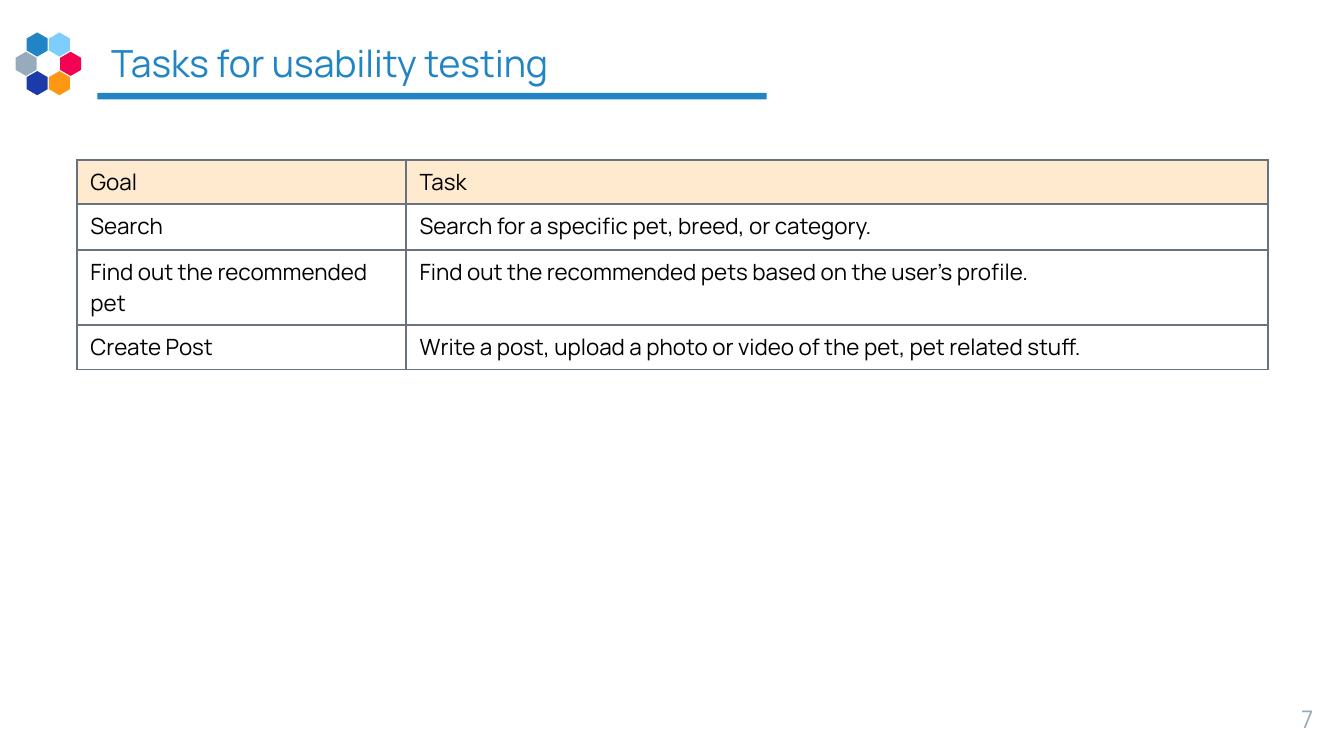
"""Build the slide that lists the tasks for usability testing."""
import math
from dataclasses import dataclass

import lxml.etree
import pptx
import pptx.dml.color
import pptx.enum.shapes
import pptx.enum.text
import pptx.oxml.ns
import pptx.slide
import pptx.table
import pptx.text.text
import pptx.util

ALIGN = pptx.enum.text.PP_ALIGN
ANCHOR = pptx.enum.text.MSO_ANCHOR
COLUMNS = 100
WIDTH = pptx.util.Inches(10)
HEIGHT = WIDTH * 9 // 16


@dataclass(frozen=True)
class Theme:
    font: str = "Manrope"
    blue: str = "2185C5"
    gray: str = "97ABBC"
    ink: str = "000000"
    edge: str = "677480"
    head: str = "FFEAD0"
    ring: tuple[str, ...] = ("F20253", "FF9715", "1C3AA9", "97ABBC", "2185C5", "7ECEFD")
    title: float = 20
    body: float = 12
    number: float = 13
    line: float = 1


@dataclass(frozen=True)
class Box:
    left: float
    top: float
    wide: float
    high: float

    def place(self) -> tuple[int, ...]:
        return tuple(map(grid, (self.left, self.top, self.wide, self.high)))


@dataclass(frozen=True)
class Task:
    goal: str
    text: str
    high: float


THEME = Theme()
TITLE = Box(7.27, 2.45, 85.5, 4.4)
RULE = Box(7.25, 6.9, 49.8, 0.5)
NUMBER = Box(92.7, 51.4, 6, 3.4)
TABLE = Box(5.73, 11.9, 88.6, 15.6)
SPLIT = (24.5, 64.1)
TASKS = (
    Task("Goal", "Task", 3.3),
    Task("Search", "Search for a specific pet, breed, or category.", 3.4),
    Task("Find out the recommended pet",
         "Find out the recommended pets based on the user’s profile.", 5.6),
    Task("Create Post",
         "Write a post, upload a photo or video of the pet, pet related stuff.", 3.3),
)


def grid(count: float) -> int:
    return round(count * WIDTH / COLUMNS)


def color(code: str) -> pptx.dml.color.RGBColor:
    return pptx.dml.color.RGBColor.from_string(code)


def paint(shape, code: str) -> None:
    shape.fill.solid()
    shape.fill.fore_color.rgb = color(code)
    shape.line.fill.background()
    shape.shadow.inherit = False


def write(frame: pptx.text.text.TextFrame, text: str, size: float, code: str,
          align: ALIGN = ALIGN.LEFT) -> None:
    part = frame.paragraphs[0]
    part.alignment = align
    run = part.add_run()
    run.text = text
    run.font.name = THEME.font
    run.font.size = pptx.util.Pt(size)
    run.font.color.rgb = color(code)


def pad(frame: pptx.text.text.TextFrame, anchor: ANCHOR) -> None:
    frame.word_wrap = True
    frame.auto_size = pptx.enum.text.MSO_AUTO_SIZE.NONE
    frame.vertical_anchor = anchor
    frame.margin_left = frame.margin_right = grid(1)
    frame.margin_top = frame.margin_bottom = grid(1)


def ring(slide: pptx.slide.Slide, mid: tuple[float, float], reach: float,
         size: float) -> None:
    for step, code in enumerate(THEME.ring):
        turn = math.radians(60 * step)
        left = mid[0] + reach * math.cos(turn)
        top = mid[1] + reach * math.sin(turn)
        tips = [(grid(left + size * math.cos(math.radians(angle))),
                 grid(top + size * math.sin(math.radians(angle))))
                for angle in range(30, 390, 60)]
        pen = slide.shapes.build_freeform(*tips[0])
        pen.add_line_segments(tips[1:], close=True)
        paint(pen.convert_to_shape(), code)


def border(cell: pptx.table._Cell) -> None:
    name = pptx.oxml.ns.qn
    props = cell._tc.get_or_add_tcPr()
    for side in ("a:lnL", "a:lnR", "a:lnT", "a:lnB"):
        line = lxml.etree.SubElement(props, name(side), w=str(pptx.util.Pt(THEME.line)))
        fill = lxml.etree.SubElement(line, name("a:solidFill"))
        lxml.etree.SubElement(fill, name("a:srgbClr"), val=THEME.edge)


def list_tasks(slide: pptx.slide.Slide) -> None:
    table = slide.shapes.add_table(len(TASKS), len(SPLIT), *TABLE.place()).table
    table.first_row = table.horz_banding = False
    for column, wide in zip(table.columns, SPLIT):
        column.width = grid(wide)
    for index, (row, task) in enumerate(zip(table.rows, TASKS)):
        row.height = grid(task.high)
        for cell, text in zip(row.cells, (task.goal, task.text)):
            border(cell)
            if index == 0:
                cell.fill.solid()
                cell.fill.fore_color.rgb = color(THEME.head)
            else:
                cell.fill.background()
            write(cell.text_frame, text, THEME.body, THEME.ink)


def main() -> None:
    deck = pptx.Presentation()
    deck.slide_width, deck.slide_height = WIDTH, HEIGHT
    slide = deck.slides.add_slide(deck.slide_layouts.get_by_name("Title Only"))

    rule = slide.shapes.add_shape(
        pptx.enum.shapes.MSO_SHAPE.RECTANGLE, *RULE.place())
    paint(rule, THEME.blue)
    ring(slide, mid=(3.6, 4.75), reach=1.66, size=0.9)

    title = slide.shapes.title
    title.left, title.top, title.width, title.height = TITLE.place()
    pad(title.text_frame, ANCHOR.MIDDLE)
    write(title.text_frame, "Tasks for usability testing", THEME.title, THEME.blue)

    number = slide.shapes.add_textbox(*NUMBER.place()).text_frame
    pad(number, ANCHOR.TOP)
    write(number, "7", THEME.number, THEME.gray, ALIGN.RIGHT)

    list_tasks(slide)
    deck.save("out.pptx")


if __name__ == "__main__":
    main()
